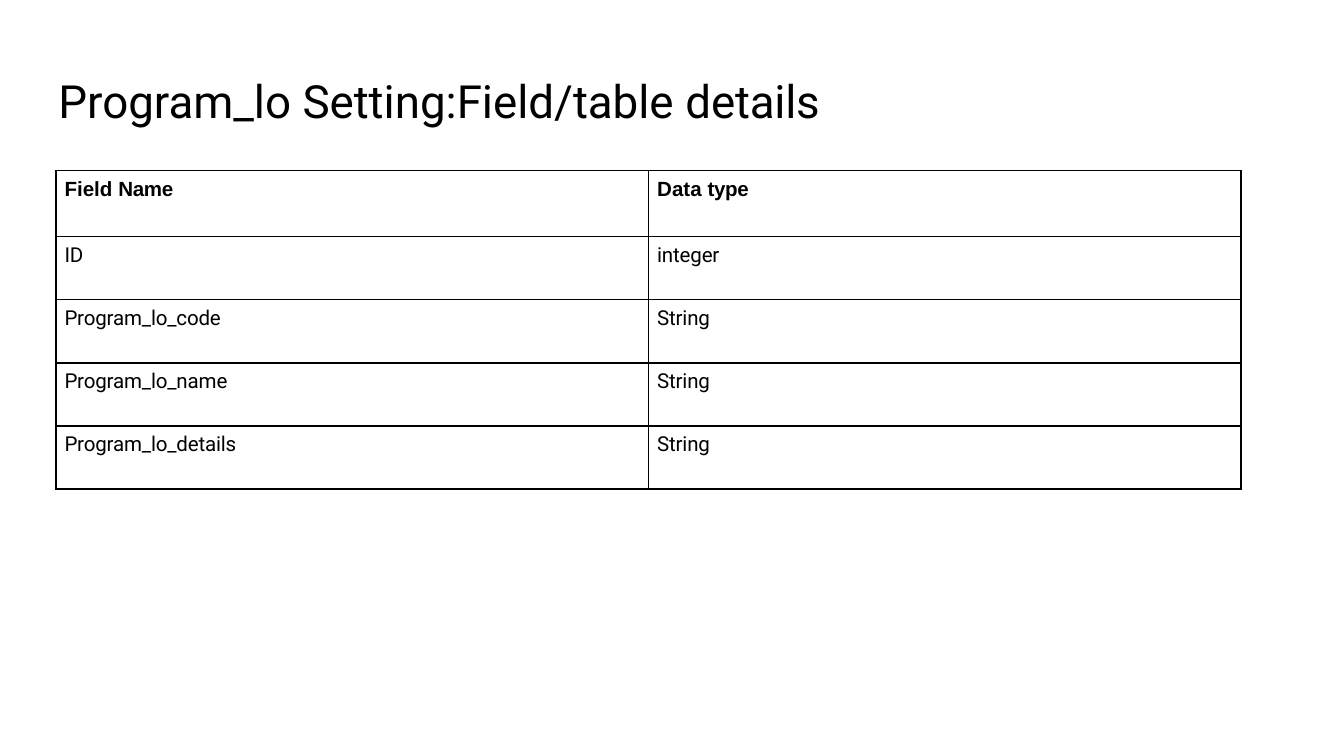
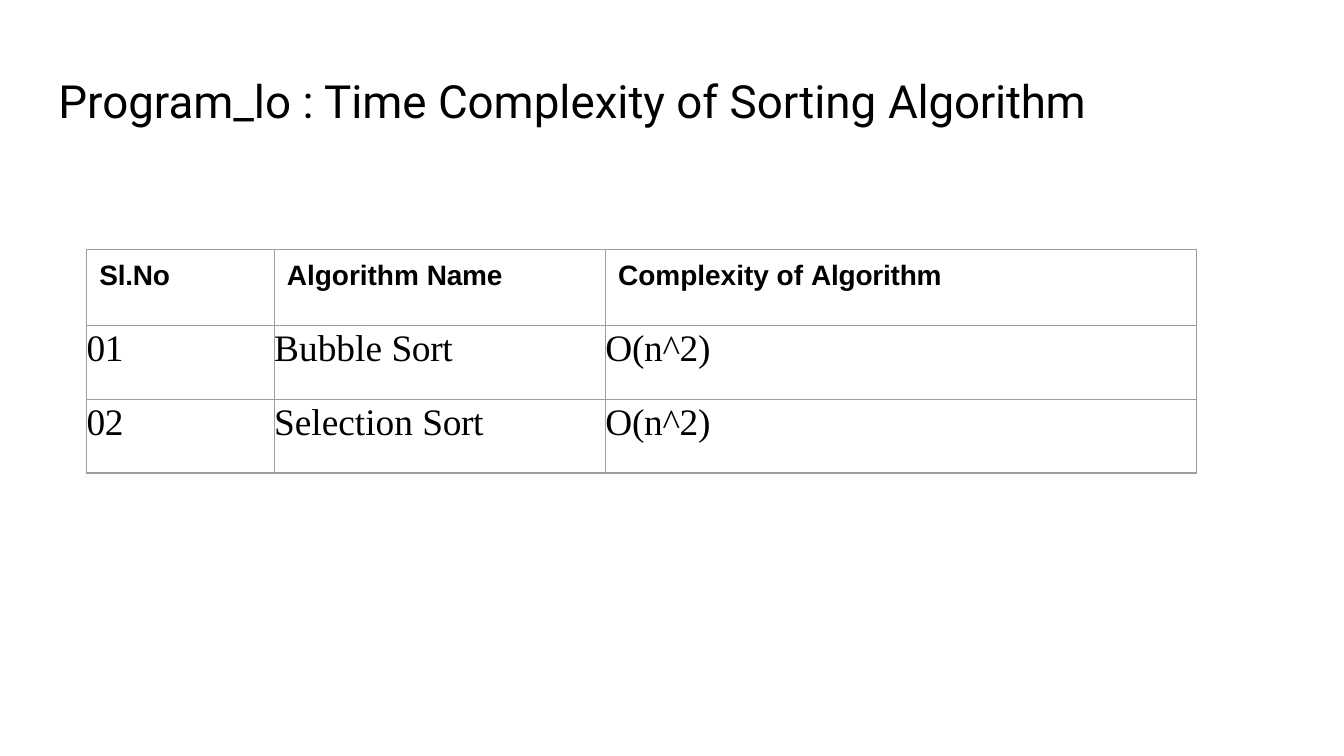
from dataclasses import dataclass

from lxml.etree import SubElement
from pptx import Presentation
from pptx.dml.color import RGBColor
from pptx.enum.text import MSO_AUTO_SIZE as AutoSize, MSO_ANCHOR as Anchor, PP_ALIGN as Align
from pptx.oxml.ns import qn
from pptx.util import Pt

PX = 4572  # EMU; 200 px to the inch


@dataclass(frozen=True)
class Theme:
    ink: str = "000000"
    grey: str = "9E9E9E"
    sans: str = "Roboto"
    head: str = "Arial"
    serif: str = "Times New Roman"
    title_size: float = 24.5
    field_size: float = 11
    head_size: float = 15
    body_size: float = 20


THEME = Theme()


def px(n):
    return n * PX


def write(tf, text, *, font, size, bold=False, indent=0, before=0,
          line=None, tight=-10):
    """Fill a frame; "|" splits runs, and the last run is set tighter."""
    p = tf.paragraphs[0]
    p.alignment = Align.LEFT
    p.space_before = Pt(before)
    if line:
        p.line_spacing = Pt(line)
    pPr = p._p.get_or_add_pPr()
    pPr.set("marL", str(px(indent)))
    pPr.set("indent", "0")
    for part in text.split("|"):
        r = p.add_run()
        r.text = part
        r.font.name, r.font.size, r.font.bold = font, Pt(size), bold
        r.font.color.rgb = RGBColor.from_string(THEME.ink)
        r._r.get_or_add_rPr().set("kern", "0")
    r._r.get_or_add_rPr().set("spc", str(tight))


def set_margins(box, top):
    """Leave only a top margin in a text frame or a table cell."""
    box.margin_left = box.margin_right = box.margin_bottom = 0
    box.margin_top = px(top)


def add_titled_slide(prs, title):
    s = prs.slides.add_slide(prs.slide_layouts[5])
    sp = s.shapes.title
    sp.left, sp.top, sp.width, sp.height = map(px, (33, 104, 1778, 132))
    tf = sp.text_frame
    tf.word_wrap = True
    tf.auto_size = AutoSize.SHAPE_TO_FIT_TEXT
    tf.vertical_anchor = Anchor.TOP
    set_margins(tf, 4)
    write(tf, title, font=THEME.sans, size=THEME.title_size,
          indent=54, before=1.3)
    return s


def border(cell, color, width):
    tcPr = cell._tc.get_or_add_tcPr()
    for side in ("lnL", "lnR", "lnT", "lnB"):
        ln = SubElement(tcPr, qn(f"a:{side}"), w=str(Pt(width)))
        fill = SubElement(ln, qn("a:solidFill"))
        SubElement(fill, qn("a:srgbClr"), val=color)


def add_grid(s, rows, *, left, top, widths, heights, color, line_width,
             margins, head, body):
    """Add a ruled table; margins, head and body format its header and other rows."""
    frame = s.shapes.add_table(len(rows), len(widths), px(left), px(top),
                               px(sum(widths)), px(sum(heights)))
    table = frame.table
    table.first_row = table.horz_banding = False
    for col, width in zip(table.columns, widths):
        col.width = px(width)
    for i, (row, height, texts) in enumerate(zip(table.rows, heights, rows)):
        row.height = px(height)
        for cell, text in zip(row.cells, texts):
            border(cell, color, line_width)
            cell.fill.background()
            cell.vertical_anchor = Anchor.TOP
            set_margins(cell, margins[min(i, 1)])
            write(cell.text_frame, text, **(body if i else head))


def field_slide(prs):
    s = add_titled_slide(prs, "Program_lo Setting:Field/table |details")
    rows = [("Field |Name", "Data |type"),
            ("ID", "integer"),
            ("Program_lo_code", "String"),
            ("Program_lo_name", "String"),
            ("Program_lo_details", "String")]
    base = dict(size=THEME.field_size, indent=13, before=3.9)
    add_grid(s, rows, left=83, top=254, widths=[882] * 2,
             heights=[98] + [94] * 4, color=THEME.ink, line_width=1,
             margins=(11, 10),
             head=dict(base, font=THEME.head, bold=True, tight=-20),
             body=dict(base, font=THEME.sans))


def complexity_slide(prs):
    s = add_titled_slide(prs, "Program_lo : Time Complexity of Sorting |Algorithm")
    rows = [("Sl.No", "Algorithm |Name", "Complexity of |Algorithm"),
            ("01", "Bubble |Sort", "O(n^2)"),
            ("02", "Selection| Sort", "O(n^2)")]
    add_grid(s, rows, left=129, top=371, widths=[279, 493, 879],
             heights=[113, 110, 110], color=THEME.grey, line_width=0.75,
             margins=(16, 0),
             head=dict(font=THEME.head, size=THEME.head_size, bold=True,
                       indent=19, before=5.7),
             body=dict(font=THEME.serif, size=THEME.body_size, line=23.9,
                       tight=-20))


def main():
    prs = Presentation()
    prs.slide_width, prs.slide_height = px(2000), px(1125)
    field_slide(prs)
    complexity_slide(prs)
    prs.save("out.pptx")


if __name__ == "__main__":
    main()
